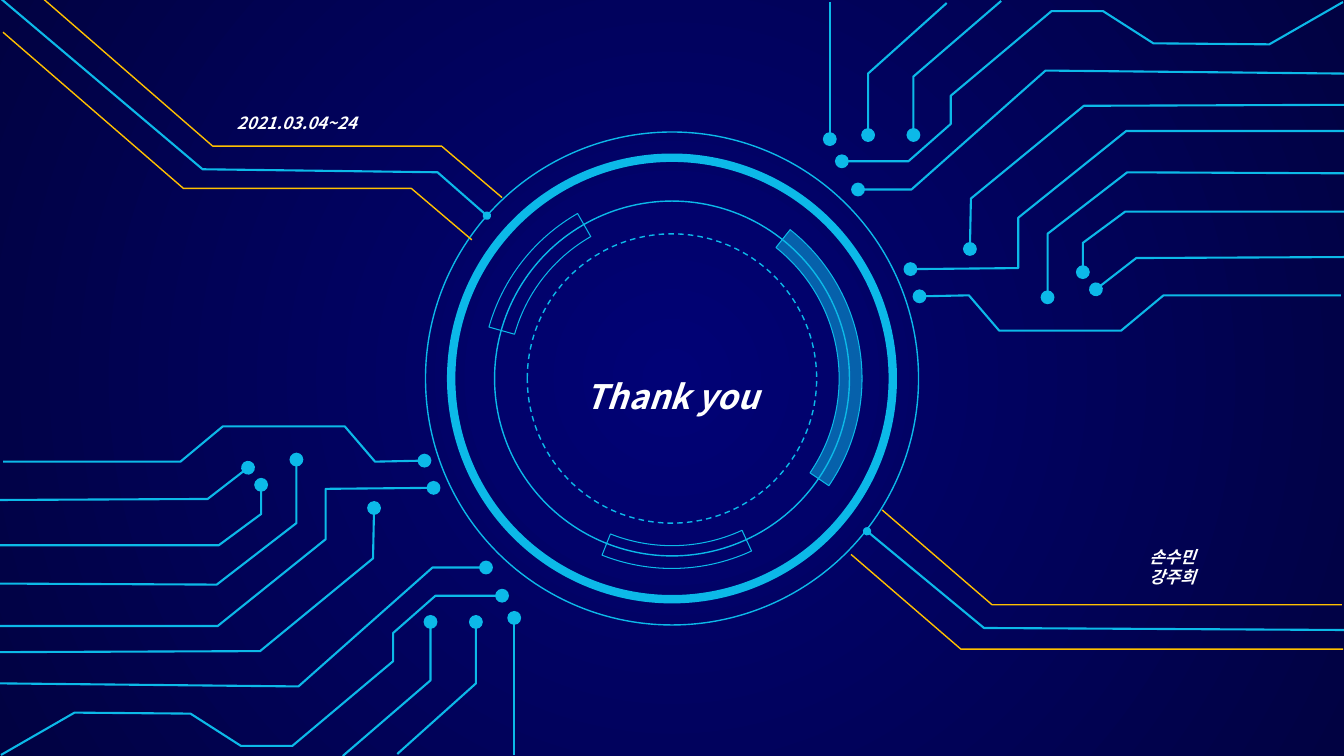
import pptx
import pptx.util
import pptx.dml.color
import pptx.enum.dml
import pptx.enum.shapes
import pptx.enum.text
import pptx.oxml.ns
from lxml import etree

Inches, Pt = pptx.util.Inches, pptx.util.Pt
qn = pptx.oxml.ns.qn
MSO_SHAPE = pptx.enum.shapes.MSO_SHAPE
ALIGN = pptx.enum.text.PP_ALIGN

COLORS = {"cyan": "0CB9E8", "gold": "FFC000", "white": "FFFFFF",
          "center": "010276", "edge": "010242"}
FONT = "Noto Sans CJK KR"

TRACES = [
    [(-0.03, 2.24), (2.58, 2.23), (3.7, 1.31), (3.71, 0.81)],
    [(-0.01, 1.98), (2.16, 1.98), (3.23, 1.12), (3.23, 0.62), (4.3, 0.61)],
    [(0.03, 0.35), (1.79, 0.35), (2.21, 0), (3.42, 0), (3.72, 0.35), (4.21, 0.34)],
    [(-0.01, 0.73), (2.06, 0.72), (2.46, 0.41)],
    [(-0.01, 1.18), (2.17, 1.18), (2.59, 0.87), (2.59, 0.58)],
    [(0, 1.56), (2.15, 1.57), (2.94, 0.96), (2.94, 0.33)],
    [(0, 2.55), (2.96, 2.58), (4.29, 1.4), (4.82, 1.4)],
    [(5.1, 3.26), (5.1, 1.9)],
    [(0.01, 3.26), (0.74, 2.84), (1.89, 2.85), (2.39, 3.17), (2.9, 3.17),
     (3.9, 2.33), (3.9, 2.05), (4.32, 1.68), (4.98, 1.68)],
    [(3.4, 3.27), (4.27, 2.52), (4.27, 1.94)],
    [(3.94, 3.25), (4.72, 2.55), (4.72, 1.94)],
]
UPPER_BUS = [
    ("gold", [(0.42, 0), (2.11, 1.47), (4.38, 1.47), (4.98, 1.98)]),
    ("gold", [(0.03, 0.34), (1.82, 1.89), (4.08, 1.89), (4.68, 2.4)]),
    ("cyan", [(0, 0), (2.01, 1.7), (4.34, 1.73), (4.83, 2.16)]),
]
LOWER_BUS = [
    ("gold", [(4.87, 0.94), (1.4, 0.94), (0.31, 0)]),
    ("gold", [(4.88, 1.38), (1.09, 1.38), (0, 0.44)]),
    ("cyan", [(4.89, 1.19), (1.32, 1.17), (0.16, 0.21)]),
]


def rgb(name):
    return pptx.dml.color.RGBColor.from_string(COLORS[name])


def style_line(sp, color, width):
    sp.line.color.rgb = rgb(color)
    sp.line.width = Pt(width)


def add_trace(s, points, color="cyan", width=1.5, dot=None):
    pts = [(Inches(x), Inches(y)) for x, y in points]
    if len(pts) == 2:
        sp = s.shapes.add_connector(
            pptx.enum.shapes.MSO_CONNECTOR.STRAIGHT, *pts[0], *pts[1])
        style_line(sp, color, width)
        etree.SubElement(sp._element.spPr, qn("a:effectLst"))
    else:
        builder = s.shapes.build_freeform(*pts[0])
        builder.add_line_segments(pts[1:], close=False)
        sp = builder.convert_to_shape()
        sp.shadow.inherit = False
        sp.fill.background()
        style_line(sp, color, width)
    if dot:
        ln = sp._element.spPr.find(qn("a:ln"))
        etree.SubElement(ln, qn("a:tailEnd"), type="oval", w=dot, len=dot)


def add_text(s, box, lines, size=12, align=ALIGN.LEFT, spacing=None, wrap=True):
    tf = s.shapes.add_textbox(*map(Inches, box)).text_frame
    tf.word_wrap = wrap
    tf.auto_size = pptx.enum.text.MSO_AUTO_SIZE.SHAPE_TO_FIT_TEXT
    for i, line in enumerate(lines):
        p = tf.add_paragraph() if i else tf.paragraphs[0]
        p.alignment = align
        if spacing:
            p.line_spacing = spacing
        r = p.add_run()
        r.text = line
        r.font.size = Pt(size)
        r.font.bold = r.font.italic = True
        r.font.color.rgb = rgb("white")
        r.font.name = FONT
        etree.SubElement(r._r.get_or_add_rPr(), qn("a:ea"), typeface=FONT)


def draw_background(s):
    fill = s.background.fill
    fill.gradient()
    for stop, name in zip(fill.gradient_stops, ("center", "edge")):
        stop.color.rgb = rgb(name)
    grad = s._element.find(".//" + qn("a:gradFill"))
    grad.remove(grad.find(qn("a:lin")))
    circle = etree.SubElement(grad, qn("a:path"), path="circle")
    etree.SubElement(circle, qn("a:fillToRect"),
                     l="50000", t="50000", r="50000", b="50000")


def draw_dial(s, left, top, size):
    def add_round(kind, diameter, width):
        inset = (size - diameter) / 2
        sp = s.shapes.add_shape(kind, Inches(left + inset), Inches(top + inset),
                                Inches(diameter), Inches(diameter))
        sp.shadow.inherit = False
        sp.fill.background()
        style_line(sp, "cyan", width)
        return sp

    def add_arc(*adjustments):
        sp = add_round(MSO_SHAPE.BLOCK_ARC, 3.77, 0.75)
        for i, value in enumerate(adjustments):
            sp.adjustments[i] = value
        return sp

    add_round(MSO_SHAPE.OVAL, 4.38, 6)
    add_round(MSO_SHAPE.OVAL, 3.52, 1)
    sp = add_arc(185.07, 20.62, 0.06)
    sp.fill.solid()
    sp.fill.fore_color.rgb = rgb("cyan")
    clr = sp._element.spPr.find(qn("a:solidFill")).find(qn("a:srgbClr"))
    etree.SubElement(clr, qn("a:alpha"), val="52000")
    add_arc(117.42, 144.14, 0.07)
    add_arc(39.14, 66.95, 0.06)
    sp = add_round(MSO_SHAPE.OVAL, 2.87, 1)
    sp.line.dash_style = pptx.enum.dml.MSO_LINE.DASH
    add_text(s, (left + 1.1, top + 2.17, 2.7, 0.63), ["Thank you"],
             size=24, align=ALIGN.CENTER, spacing=1.5)
    add_round(MSO_SHAPE.OVAL, size, 1)


def draw_circuit(s, left, top, width, height, turned=False):
    for trace in TRACES:
        if turned:
            trace = [(width - x, height - y) for x, y in trace]
        add_trace(s, [(left + x, top + y) for x, y in trace], dot="lg")


def draw_bus(s, left, top, routes):
    for color, route in routes:
        is_core = color == "cyan"
        add_trace(s, [(left + x, top + y) for x, y in route], color,
                  width=1.5 if is_core else 1, dot="med" if is_core else None)


def main():
    prs = pptx.Presentation()
    prs.slide_width, prs.slide_height = Inches(13.33), Inches(7.5)
    s = prs.slides.add_slide(prs.slide_layouts[6])
    draw_background(s)
    draw_dial(s, 4.22, 1.31, 4.89)
    draw_circuit(s, 0, 4.23, 5.1, 3.27)
    draw_circuit(s, 8.23, 0.01, 5.1, 3.27, turned=True)
    draw_bus(s, 0, -0.02, UPPER_BUS)
    draw_bus(s, 8.44, 5.06, LOWER_BUS)
    add_text(s, (11.3, 5.37, 0.71, 0.5), ["손수민", "강주희"], wrap=False)
    add_text(s, (2.25, 1.07, 2.16, 0.3), ["2021.03.04~24"])
    prs.save("out.pptx")


if __name__ == "__main__":
    main()
